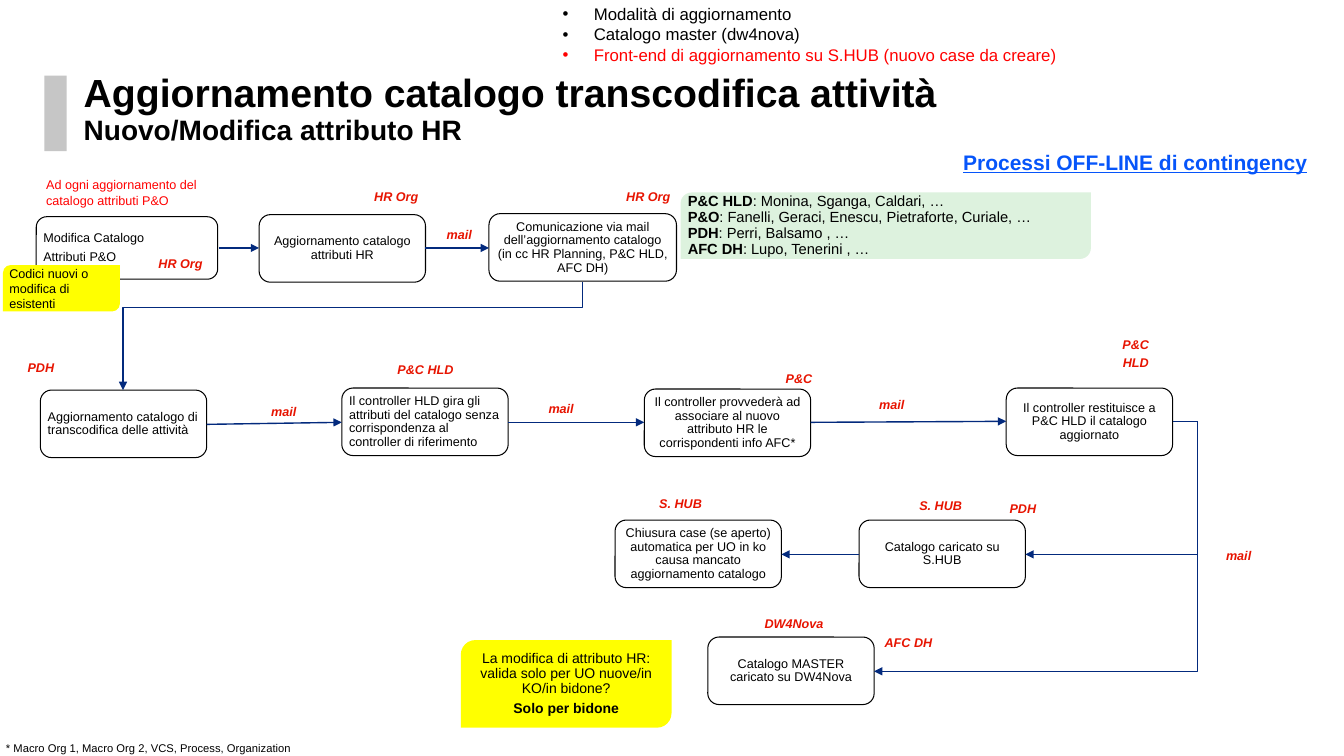
from lxml import etree
from pptx import Presentation
from pptx.dml.color import RGBColor
from pptx.enum.shapes import MSO_CONNECTOR, MSO_SHAPE
from pptx.enum.text import MSO_ANCHOR, MSO_AUTO_SIZE, PP_ALIGN
from pptx.oxml.ns import qn
from pptx.util import Inches, Pt

LEFT, CENTER = PP_ALIGN.LEFT, PP_ALIGN.CENTER
TOP, MIDDLE = MSO_ANCHOR.TOP, MSO_ANCHOR.MIDDLE
FIT, NO_FIT = MSO_AUTO_SIZE.SHAPE_TO_FIT_TEXT, MSO_AUTO_SIZE.NONE
STRAIGHT, ELBOW = MSO_CONNECTOR.STRAIGHT, MSO_CONNECTOR.ELBOW
RECT, ROUNDED = MSO_SHAPE.RECTANGLE, MSO_SHAPE.ROUNDED_RECTANGLE
DIAGONAL = MSO_SHAPE.ROUND_2_DIAG_RECTANGLE

FONT = "Arial"
COLORS = {
    "text": "000000", "bar": "C6C6C6", "arrow": "032A7D", "owner": "E71401",
    "alert": "FF0000", "heading": "0655FA", "people": "DDF2DE", "note": "FFFF00",
}
STEP_W, STEP_H = 1.65, 0.67

# Text, left, top, width, height, alignment
STEPS = [
    (["Modifica Catalogo", "Attributi P&O"], 0.36, 2.15, 1.8, 0.62, LEFT),
    (["Aggiornamento catalogo attributi HR"], 2.57, 2.13, STEP_W, STEP_H, CENTER),
    (["Comunicazione via mail dell’aggiornamento catalogo "
      "(in cc HR Planning, P&C HLD, AFC DH)"], 4.85, 2.12, 1.86, STEP_H, CENTER),
    (["Aggiornamento catalogo di transcodifica delle attività"],
     0.4, 3.87, STEP_W, STEP_H, LEFT),
    (["Il controller HLD gira gli attributi del catalogo senza "
      "corrispondenza al controller di riferimento"], 3.39, 3.85, STEP_W, STEP_H, LEFT),
    (["Il controller provvederà ad associare al nuovo attributo HR le "
      "corrispondenti info AFC*"], 6.39, 3.86, STEP_W, STEP_H, CENTER),
    (["Il controller restituisce a P&C HLD il catalogo aggiornato"],
     9.98, 3.85, STEP_W, STEP_H, CENTER),
    (["Catalogo caricato su S.HUB"], 8.52, 5.16, STEP_W, STEP_H, CENTER),
    (["Chiusura case (se aperto) automatica per UO in ko causa mancato "
      "aggiornamento catalogo"], 6.1, 5.16, STEP_W, STEP_H, CENTER),
    (["Catalogo MASTER caricato su DW4Nova"], 7.02, 6.32, STEP_W, STEP_H, CENTER),
]

# Start x, start y, end x, end y
ARROWS = [
    (2.17, 2.46, 2.57, 2.46), (4.22, 2.46, 4.85, 2.46),
    (2.05, 4.21, 3.39, 4.19), (5.04, 4.19, 6.39, 4.19),
    (8.04, 4.19, 9.98, 4.18), (8.52, 5.5, 7.75, 5.5),
]

# Text, left, top, width
LABELS = [
    ("HR Org", 1.47, 2.51, 0.64), ("HR Org", 3.61, 1.84, 0.64),
    ("HR Org", 6.11, 1.84, 0.64), ("PDH", 0.17, 3.54, 0.47),
    ("P&C HLD", 3.84, 3.56, 0.76), ("P&C", 7.69, 3.65, 0.47),
    ("PDH", 9.91, 4.94, 0.47), ("AFC DH", 8.67, 6.27, 0.68),
    ("S. HUB", 9.0, 4.91, 0.66), ("S. HUB", 6.42, 4.89, 0.66),
    ("DW4Nova", 7.48, 6.08, 0.79),
    ("mail", 4.33, 2.22, 0.45), ("mail", 2.59, 3.97, 0.45),
    ("mail", 5.34, 3.94, 0.45), ("mail", 8.62, 3.91, 0.45),
    ("mail", 12.06, 5.4, 0.45),
]

PEOPLE = [
    ("P&C HLD", ": Monina, Sganga, Caldari, …"),
    ("P&O", ": Fanelli, Geraci, Enescu, Pietraforte, Curiale, …"),
    ("PDH", ": Perri, Balsamo , …"),
    ("AFC DH", ": Lupo, Tenerini , …"),
]


def color(name):
    return RGBColor.from_string(COLORS[name])


def style(paragraph, size, tint="text", align=LEFT, spacing=0.9, after=0.0,
          bold=None, italic=None):
    paragraph.alignment = align
    paragraph.line_spacing = spacing
    paragraph.space_after = Pt(after)
    font = paragraph.font
    font.name, font.size, font.bold, font.italic = FONT, Pt(size), bold, italic
    font.color.rgb = color(tint)


def write(frame, lines, size, **look):
    """One paragraph per line; a (lead, rest) pair has a bold lead."""
    for i, line in enumerate(lines):
        paragraph = frame.paragraphs[0] if i == 0 else frame.add_paragraph()
        lead, rest = ("", line) if isinstance(line, str) else line
        if lead:
            run = paragraph.add_run()
            run.text, run.font.bold = lead, True
        if rest:
            paragraph.add_run().text = rest
        style(paragraph, size, **look)


def set_insets(frame, inset):
    frame.margin_left = frame.margin_right = Inches(inset)
    frame.margin_top = frame.margin_bottom = Inches(inset)


def add_box(slide, kind, box, fill=None, outline=None):
    shape = slide.shapes.add_shape(kind, *map(Inches, box))
    shape.shadow.inherit = False
    if fill:
        shape.fill.solid()
        shape.fill.fore_color.rgb = color(fill)
    else:
        shape.fill.background()
    if outline:
        shape.line.color.rgb = color(outline)
        shape.line.width = Pt(0.75)
    else:
        shape.line.fill.background()
    frame = shape.text_frame
    frame.word_wrap, frame.vertical_anchor = True, MIDDLE
    set_insets(frame, 0.04)
    return frame


def add_text(slide, box, wrap=False, inset=None):
    frame = slide.shapes.add_textbox(*map(Inches, box)).text_frame
    frame.word_wrap, frame.auto_size = wrap, FIT
    if inset is not None:
        set_insets(frame, inset)
    return frame


def add_label(slide, lines, left, top, width, height=0.24):
    write(add_text(slide, (left, top, width, height)), lines, 9, tint="owner",
          align=CENTER, after=3.5, bold=True, italic=True)


def add_arrow(slide, kind, x1, y1, x2, y2):
    arrow = slide.shapes.add_connector(kind, *map(Inches, (x1, y1, x2, y2)))
    arrow.line.color.rgb = color("arrow")
    arrow.line.width = Pt(1)
    etree.SubElement(arrow.line._get_or_add_ln(), qn("a:tailEnd"), type="triangle")
    properties = arrow._element.spPr
    etree.SubElement(properties, qn("a:effectLst"))
    return properties


def set_bend(properties, share):
    guides = properties.find(qn("a:prstGeom")).get_or_add_avLst()
    etree.SubElement(guides, qn("a:gd"), name="adj1", fmla=f"val {round(share * 100000)}")


def add_side_elbow(slide, x1, y1, x2, y2, bend_x):
    set_bend(add_arrow(slide, ELBOW, x1, y1, x2, y2), (bend_x - x1) / (x2 - x1))


def add_down_elbow(slide, x1, y1, x2, y2, bend_y):
    """Runs down, across to the left and down: an elbow turned by 90 degrees."""
    mid_x, mid_y = (x1 + x2) / 2, (y1 + y2) / 2
    half_w, half_h = (y2 - y1) / 2, (x1 - x2) / 2
    properties = add_arrow(slide, ELBOW, mid_x - half_w, mid_y - half_h,
                           mid_x + half_w, mid_y + half_h)
    properties.find(qn("a:xfrm")).set("rot", str(90 * 60000))
    set_bend(properties, (bend_y - y1) / (y2 - y1))


def add_title(slide):
    title = slide.shapes.title
    title.left, title.top = Inches(0.83), Inches(0.73)
    title.width, title.height = Inches(9.16), Inches(0.43)
    frame = title.text_frame
    frame.word_wrap, frame.auto_size, frame.vertical_anchor = True, NO_FIT, TOP
    set_insets(frame, 0)
    write(frame, [("Aggiornamento catalogo transcodifica attività ",
                   "Nuovo/Modifica attributo HR")], 28, bold=True)
    frame.paragraphs[0].runs[1].font.size = Pt(20)


def add_topics(slide):
    frame = add_text(slide, (5.58, 0.04, 5, 0.61), inset=0)
    topics = [("Modalità di aggiornamento", "text"), ("Catalogo master (dw4nova)", "text"),
              ("Front-end di aggiornamento su S.HUB (nuovo case da creare)", "alert")]
    for i, (topic, tint) in enumerate(topics):
        paragraph = frame.paragraphs[0] if i == 0 else frame.add_paragraph()
        paragraph.text = topic
        indent = paragraph._p.get_or_add_pPr()
        indent.set("marL", str(Inches(0.31)))
        indent.set("indent", str(-Inches(0.31)))
        etree.SubElement(indent, qn("a:buFont"), typeface=FONT)
        etree.SubElement(indent, qn("a:buChar"), char="•")
        style(paragraph, 12, tint, spacing=1.0)


def main():
    deck = Presentation()
    deck.slide_width, deck.slide_height = Inches(13.33), Inches(7.5)
    slide = deck.slides.add_slide(deck.slide_layouts[5])

    # Header
    add_box(slide, RECT, (0.44, 0.75, 0.22, 0.75), fill="bar")
    add_title(slide)
    add_topics(slide)
    heading = add_text(slide, (9.44, 1.43, 3.64, 0.35))
    write(heading, ["Processi OFF-LINE di contingency"], 15, tint="heading",
          align=CENTER, spacing=1.0, bold=True)
    heading.paragraphs[0].font.underline = True

    # Process flow
    for lines, left, top, width, height, align in STEPS:
        step = add_box(slide, ROUNDED, (left, top, width, height), outline="text")
        write(step, lines, 9, align=align, after=3.5)
    for ends in ARROWS:
        add_arrow(slide, STRAIGHT, *ends)
    add_down_elbow(slide, 5.78, 2.8, 1.22, 3.87, bend_y=3.05)
    for end_x, end_y in [(8.67, 6.66), (10.17, 5.5)]:
        add_side_elbow(slide, 11.63, 4.18, end_x, end_y, bend_x=11.88)

    # Owners and channels
    for label, left, top, width in LABELS:
        add_label(slide, [label], left, top, width)
    add_label(slide, ["P&C", "HLD"], 11.03, 3.31, 0.47, 0.43)

    # Contacts and notes
    write(add_box(slide, DIAGONAL, (6.75, 1.91, 4.07, 0.66), fill="people"), PEOPLE, 10.5)
    write(add_box(slide, DIAGONAL, (4.57, 6.35, 2.09, 0.87), fill="note"),
          ["La modifica di attributo HR: valida solo per UO nuove/in KO/in bidone?",
           ("Solo per bidone", "")], 10, align=CENTER, after=3.5)
    write(add_box(slide, DIAGONAL, (0.03, 2.63, 1.16, 0.46), fill="note"),
          ["Codici nuovi o modifica di esistenti"], 9, spacing=1.0)
    write(add_text(slide, (0.36, 1.71, 1.86, 0.4), wrap=True),
          ["Ad ogni aggiornamento del catalogo attributi P&O"], 9, tint="alert", spacing=1.0)
    write(add_text(slide, (0.06, 7.35, 5.73, 0.13), wrap=True, inset=0),
          ["* Macro Org 1, Macro Org 2, VCS, Process, Organization"], 8, spacing=1.0)

    deck.save("out.pptx")


if __name__ == "__main__":
    main()
